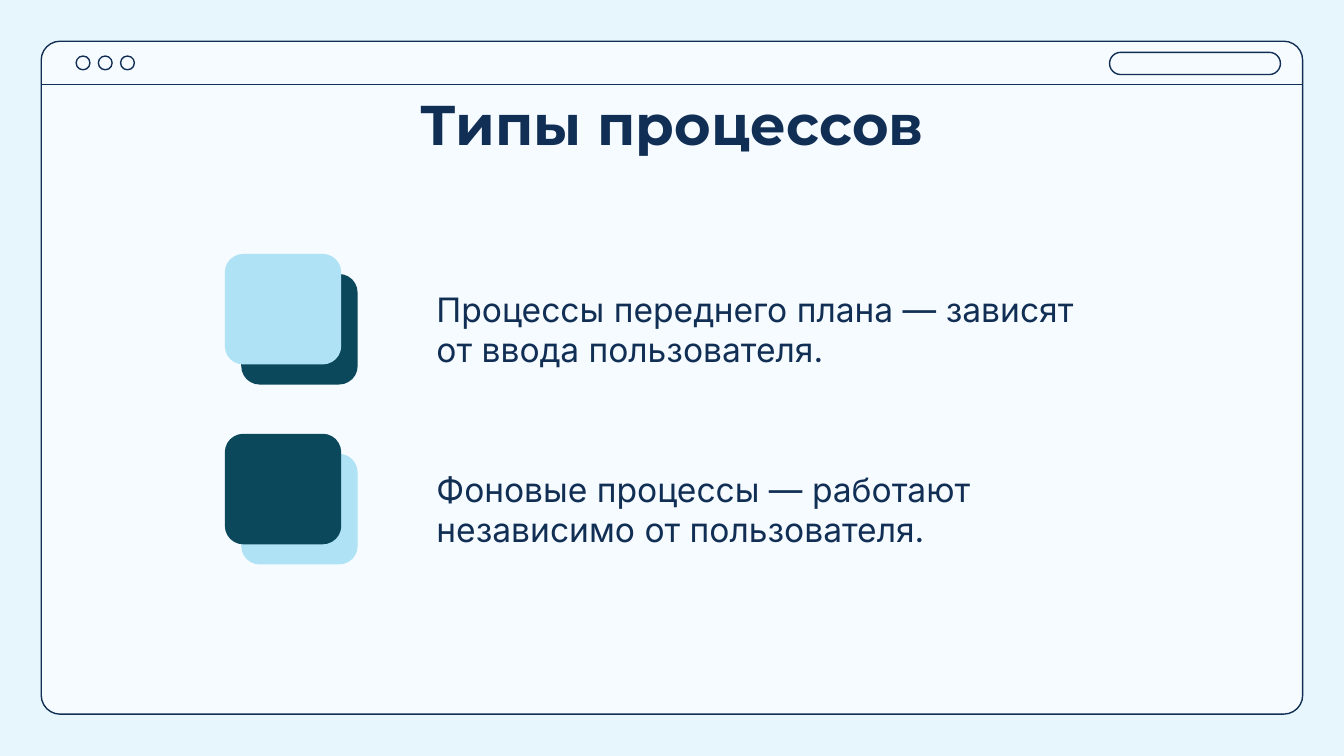
from pptx import Presentation
from pptx.dml.color import RGBColor
from pptx.enum.shapes import MSO_CONNECTOR as Connector, MSO_SHAPE as Shape
from pptx.enum.text import MSO_ANCHOR as Anchor, PP_ALIGN as Align
from pptx.oxml.xmlchemy import OxmlElement
from pptx.util import Cm, Pt

NAVY = RGBColor(0x11, 0x2E, 0x54)
TEAL = RGBColor(0x0C, 0x48, 0x5C)
SKY = RGBColor(0xAE, 0xE2, 0xF4)
PAPER = RGBColor(0xF5, 0xFB, 0xFF)
BACKDROP = RGBColor(0xE6, 0xF6, 0xFC)

PROCESS_TYPES = [
    ("Процессы переднего плана — зависят от ввода пользователя.", SKY, TEAL),
    ("Фоновые процессы — работают независимо от пользователя.", TEAL, SKY),
]
FIRST_TOP, ROW_STEP = 4.8, 3.4


def add_block(slide, kind, left, top, width, height, fill=None, line=None, corner=None):
    """Add a flat preset shape, measured in centimetres."""
    shape = slide.shapes.add_shape(kind, Cm(left), Cm(top), Cm(width), Cm(height))
    shape.shadow.inherit = False
    if corner is not None:
        shape.adjustments[0] = corner
    if fill is None:
        shape.fill.background()
    else:
        shape.fill.solid()
        shape.fill.fore_color.rgb = fill
    if line is None:
        shape.line.fill.background()
    else:
        shape.line.color.rgb = line
        shape.line.width = Pt(0.75)
    return shape


def add_rule(slide, left, right, top):
    """Add a thin horizontal line without a shadow."""
    rule = slide.shapes.add_connector(
        Connector.STRAIGHT, Cm(left), Cm(top), Cm(right), Cm(top))
    rule.line.color.rgb = NAVY
    rule.line.width = Pt(0.75)
    rule._element.spPr.append(OxmlElement("a:effectLst"))


def add_text(slide, text, left, top, width, height, *, font, size,
             bold=False, align=Align.LEFT, margin=0.13):
    """Add a wrapped, top-anchored text box."""
    box = slide.shapes.add_textbox(Cm(left), Cm(top), Cm(width), Cm(height))
    frame = box.text_frame
    frame.word_wrap = True
    frame.vertical_anchor = Anchor.TOP
    frame.margin_top = frame.margin_bottom = Cm(margin)
    paragraph = frame.paragraphs[0]
    paragraph.alignment = align
    run = paragraph.add_run()
    run.text = text
    run.font.name = font
    run.font.size = Pt(size)
    run.font.bold = bold
    run.font.color.rgb = NAVY


def add_window(slide):
    """Draw the browser window with its buttons and address bar."""
    add_block(slide, Shape.ROUNDED_RECTANGLE, 0.78, 0.78, 23.84, 12.72,
              fill=PAPER, line=NAVY, corner=0.028)
    for index in range(3):
        add_block(slide, Shape.OVAL, 1.44 + index * 0.42, 1.06, 0.26, 0.26, line=NAVY)
    add_block(slide, Shape.ROUNDED_RECTANGLE, 20.97, 0.99, 3.23, 0.42,
              line=NAVY, corner=0.5)
    add_rule(slide, 0.78, 24.62, 1.6)


def add_process_type(slide, top, text, front, back):
    """Draw one process type: two overlapping tiles and a description."""
    add_text(slide, text, 8, top + 0.53, 13.16, 1.8, font="Inter", size=18)
    for offset_x, offset_y, color in ((0.31, 0.38, back), (0, 0, front)):
        add_block(slide, Shape.ROUNDED_RECTANGLE, 4.25 + offset_x, top + offset_y,
                  2.2, 2.09, fill=color, corner=0.167)


def main():
    """Build the slide and save it."""
    presentation = Presentation()
    presentation.slide_width, presentation.slide_height = Cm(25.4), Cm(14.29)
    slide = presentation.slides.add_slide(presentation.slide_layouts[6])
    slide.background.fill.solid()
    slide.background.fill.fore_color.rgb = BACKDROP

    add_window(slide)
    add_text(slide, "Типы процессов", 2, 1.45, 21.4, 1.6, font="Montserrat",
             size=30, bold=True, align=Align.CENTER, margin=0.25)
    for row, (text, front, back) in enumerate(PROCESS_TYPES):
        add_process_type(slide, FIRST_TOP + row * ROW_STEP, text, front, back)

    presentation.save("out.pptx")


if __name__ == "__main__":
    main()
